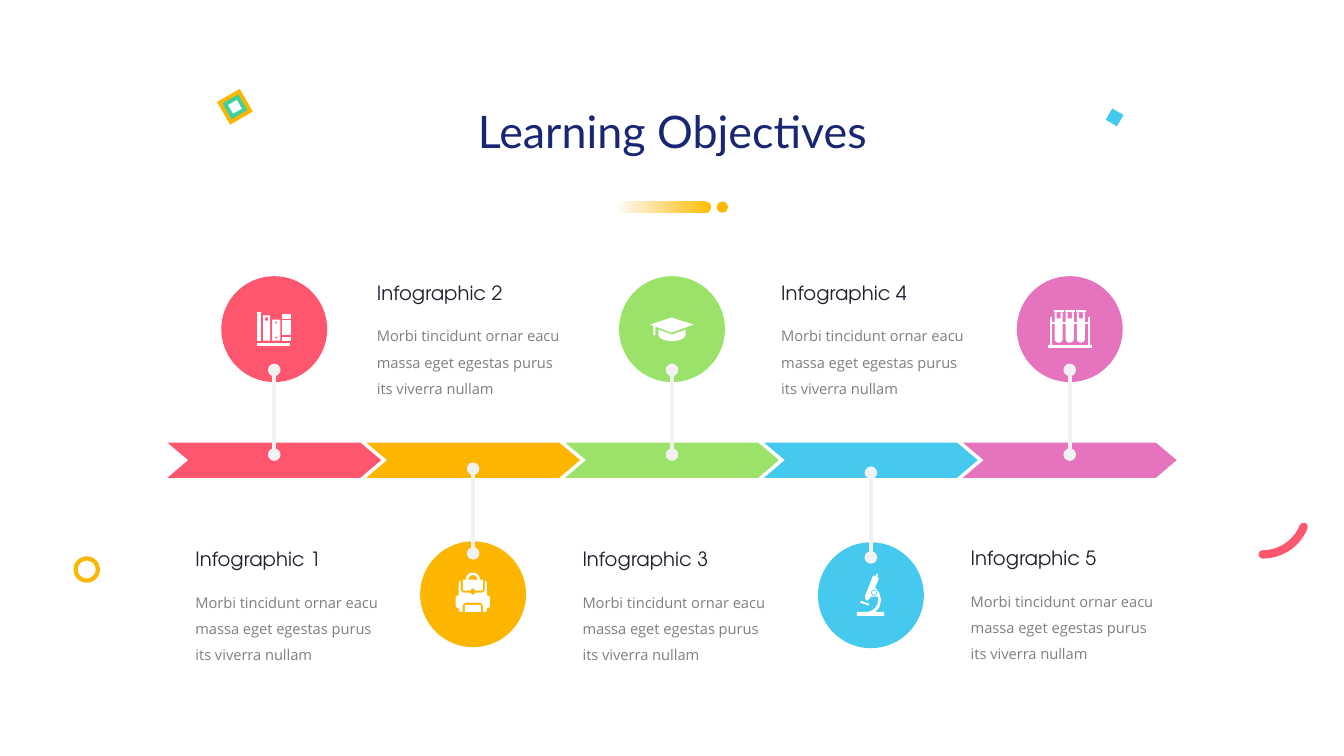
from math import cos, radians, sin

from pptx import Presentation
from pptx.dml.color import RGBColor
from pptx.enum.shapes import MSO_CONNECTOR, MSO_SHAPE
from pptx.enum.text import MSO_ANCHOR, MSO_AUTO_SIZE, PP_ALIGN
from pptx.oxml.ns import qn
from pptx.oxml.xmlchemy import OxmlElement
from pptx.util import Inches, Pt

COLOURS = {
    "red": "FF5670", "gold": "FCB600", "green": "9AE26A", "blue": "46C9EE",
    "pink": "E573BE", "teal": "3CD1A2", "amber": "FFBE00", "white": "FFFFFF",
    "pin": "F2F2F2", "navy": "182674", "heading": "202131", "body": "7F7F7F",
}
STEP_COLOURS = ["red", "gold", "green", "blue", "pink"]
FIRST_CENTRE = 2.72
COLUMN = (10.61 - FIRST_CENTRE) / 4
CIRCLE = 1.05
CIRCLE_TOPS = [2.74, 5.37, 2.74, 5.38, 2.74]
PIN_TOPS = [3.67, 4.65, 3.67, 4.69, 3.67]
TEXT_PLACES = [(1.84, 5.38), (3.64, 2.74), (5.68, 5.38), (7.65, 2.74), (9.53, 5.37)]
BODY_TEXT = "Morbi tincidunt ornar eacu massa eget egestas purus its viverra nullam"


def colour(name):
    return RGBColor.from_string(COLOURS[name])


def add_preset(slide, kind, left, top, width, height, fill=None, line=None, weight=3, rotation=0):
    shape = slide.shapes.add_shape(kind, Inches(left), Inches(top), Inches(width), Inches(height))
    shape.shadow.inherit = False
    shape.rotation = rotation
    if fill:
        shape.fill.solid()
        shape.fill.fore_color.rgb = colour(fill)
    else:
        shape.fill.background()
    if line:
        shape.line.color.rgb = colour(line)
        shape.line.width = Pt(weight)
    else:
        shape.line.fill.background()
    return shape


def box(x, y, width, height):
    return [(x, y), (x + width, y), (x + width, y + height), (x, y + height)]


def arc(x, y, radius, start=0, end=360):
    angles = [radians(start + (end - start) * step / 24) for step in range(25)]
    return [(x + radius * cos(angle), y + radius * sin(angle)) for angle in angles]


def add_icon(slide, left, top, outlines):
    for contours in outlines:
        points = [[(Inches(left + x / 100), Inches(top + y / 100)) for x, y in contour]
                  for contour in contours]
        builder = slide.shapes.build_freeform(*points[0][0])
        builder.add_line_segments(points[0][1:], close=True)
        for hole in points[1:]:
            builder.move_to(*hole[0])
            builder.add_line_segments(hole[1:], close=True)
        shape = builder.convert_to_shape()
        shape.shadow.inherit = False
        shape.fill.solid()
        shape.fill.fore_color.rgb = colour("white")
        shape.line.fill.background()


def books():
    plain = [(0, 30, 33, 3), (0, 0, 4, 28), (25, 24, 9, 4), (25, 8, 9, 14), (25, 2, 9, 4)]
    dotted = [box(15, 7, 8, 21), arc(19, 10, 1), arc(19, 25, 1)]
    labelled = [box(6, 3, 7, 25), box(8, 5, 3, 3)]
    return [[box(*book)] for book in plain] + [dotted, labelled]


def backpack():
    flap = [(7, 7), *arc(17, 7, 7, 180, 360), (27, 7), (27, 17), (26, 18), (19, 18), (19, 17),
            (18, 16), (16, 16), (15, 17), (15, 18), (8, 18), (7, 17)]
    pocket = [(9, 39), (9, 33), (10, 32), (24, 32), (25, 33), (25, 39)]
    left_half = [(15, 20.5), (14, 20), (8, 20), (6, 19), (5, 17), (5, 8), (3.5, 9), (3, 11),
                 (3, 23), (2, 23), (0.5, 23.5), (0, 25), (0, 33), (0.5, 34.5), (2, 35), (3, 35),
                 (3, 37), (3.5, 38.5), (5, 39), (7, 39), (7, 33), (8, 31), (10, 30)]
    right_half = [(34 - x, y) for x, y in reversed(left_half)]
    sack = [(16, 22), *left_half, *right_half, (18, 22)]
    return [[flap, arc(17, 7, 4.5, 180, 360)], [pocket], [sack]]


def graduation_cap():
    board = [(21, 15), (43, 7), (21, 0), (0, 7), (3, 8), (3, 17), (4, 18), (5, 17), (5, 9)]
    crown = [(8, 12), (8, 18), (10, 20.5), (14, 22.5), (21.5, 23.5), (29, 22.5), (33, 20.5),
             (35, 18), (35, 12), (21.5, 17)]
    return [[board], [crown]]


def microscope():
    stand = [(18, 38), (22, 34), (24, 26), (22, 19), (18, 14), (22, 4), (20, 4), (21, 1),
             (19, 0), (18, 3), (16, 2), (8, 22), (8, 25), (10, 27), (11, 26), (13, 24),
             (14, 23), (21, 23), *arc(9, 26, 12, 0, 90), (0, 38), (0, 42), (27, 42), (27, 38)]
    plate = [(4, 27), (12, 30), (12, 32), (3, 29)]
    return [[stand, arc(17, 19, 3)], [arc(17, 19, 2)], [plate]]


def test_tubes():
    rack = [(0, 34, 44, 3), (2, 6, 2, 28), (40, 6, 2, 28), (4, 11, 36, 2)]
    outlines = [[box(*bar)] for bar in rack]
    for x in (7, 18, 29):
        tube = [(x, 2), (x + 8, 2), *arc(x + 4, 28, 4, 0, 180)]
        outlines += [[box(x - 1, 0, 10, 2)], [tube, box(x + 2, 2, 4, 6)]]
    return outlines


def write(shape, text, font, size, ink, spacing=None, align=PP_ALIGN.LEFT):
    frame = shape.text_frame
    frame.word_wrap = True
    frame.auto_size = MSO_AUTO_SIZE.SHAPE_TO_FIT_TEXT
    frame.vertical_anchor = MSO_ANCHOR.TOP
    paragraph = frame.paragraphs[0]
    paragraph.alignment = align
    if spacing:
        paragraph.line_spacing = spacing
    run = paragraph.add_run()
    run.text = text
    run.font.name = font
    run.font.size = Pt(size)
    run.font.color.rgb = colour(ink)


def add_text(slide, left, top, width, height, *style):
    shape = slide.shapes.add_textbox(Inches(left), Inches(top), Inches(width), Inches(height))
    write(shape, *style)


def add_title(slide):
    title = slide.shapes.title
    title.left, title.top, title.width, title.height = map(Inches, (3.02, 0.98, 7.3, 0.64))
    write(title, "Learning Objectives", "Lato", 32, "navy", align=PP_ALIGN.CENTER)


def add_pin(slide, x, top):
    pin = slide.shapes.add_connector(
        MSO_CONNECTOR.STRAIGHT, Inches(x), Inches(top), Inches(x), Inches(top + 0.84))
    pin.line.color.rgb = colour("pin")
    pin.line.width = Pt(3)
    outline = pin.line._get_or_add_ln()
    for tag in ("a:headEnd", "a:tailEnd"):
        end = OxmlElement(tag)
        end.set("type", "oval")
        outline.append(end)
    pin._element.spPr.append(OxmlElement("a:effectLst"))


def add_underline(slide):
    bar = add_preset(slide, MSO_SHAPE.ROUNDED_RECTANGLE, 6.11, 2, 0.94, 0.11)
    bar.adjustments[0] = 0.5
    bar.fill.gradient()
    bar.fill.gradient_angle = 0
    for stop, name, position in zip(bar.fill.gradient_stops, ("gold", "amber"), (0, 1)):
        stop.color.rgb = colour(name)
        stop.position = position
    alpha = OxmlElement("a:alpha")
    alpha.set("val", "0")
    next(bar._element.spPr.iter(qn("a:srgbClr"))).append(alpha)
    add_preset(slide, MSO_SHAPE.OVAL, 7.11, 2, 0.11, 0.11, "gold")


def add_ornaments(slide):
    for size, name in ((0.26, "gold"), (0.18, "teal"), (0.1, "white")):
        add_preset(slide, MSO_SHAPE.RECTANGLE, 2.33 - size / 2, 1.06 - size / 2,
                   size, size, name, rotation=60)
    add_preset(slide, MSO_SHAPE.RECTANGLE, 10.99, 1.1, 0.13, 0.13, "blue", rotation=30)
    add_preset(slide, MSO_SHAPE.OVAL, 0.75, 5.54, 0.22, 0.22, line="gold")
    swoosh = add_preset(slide, MSO_SHAPE.ARC, 12.09, 4.63, 0.87, 0.87,
                        line="red", weight=6, rotation=105)
    swoosh.adjustments[0] = 166.07
    swoosh.adjustments[1] = 207.17
    swoosh.line._get_or_add_ln().set("cap", "rnd")


def add_step(slide, index):
    name = STEP_COLOURS[index]
    centre = FIRST_CENTRE + index * COLUMN
    add_preset(slide, MSO_SHAPE.OVAL, centre - CIRCLE / 2, CIRCLE_TOPS[index], CIRCLE, CIRCLE, name)
    arrow = add_preset(slide, MSO_SHAPE.CHEVRON, centre - 1.06, 4.39, 2.12, 0.35, name)
    arrow.adjustments[0] = 0.59
    left, top = TEXT_PLACES[index]
    add_text(slide, left, top, 1.7, 0.34,
             f"Infographic {index + 1}", "TeX Gyre Adventor", 14, "heading")
    add_text(slide, left, top + 0.37, 2.1, 0.9, BODY_TEXT, "Open Sans", 10.5, "body", 1.5)
    add_pin(slide, centre, PIN_TOPS[index])


def main():
    presentation = Presentation()
    presentation.slide_width = Inches(13.33)
    presentation.slide_height = Inches(7.5)
    slide = presentation.slides.add_slide(presentation.slide_layouts[5])
    add_title(slide)
    add_underline(slide)
    for index in range(len(STEP_COLOURS)):
        add_step(slide, index)
    add_icon(slide, 2.55, 3.1, books())
    add_icon(slide, 4.52, 5.68, backpack())
    add_icon(slide, 6.45, 3.15, graduation_cap())
    add_icon(slide, 8.5, 5.69, microscope())
    add_icon(slide, 10.39, 3.08, test_tubes())
    add_ornaments(slide)
    presentation.save("out.pptx")


main()
